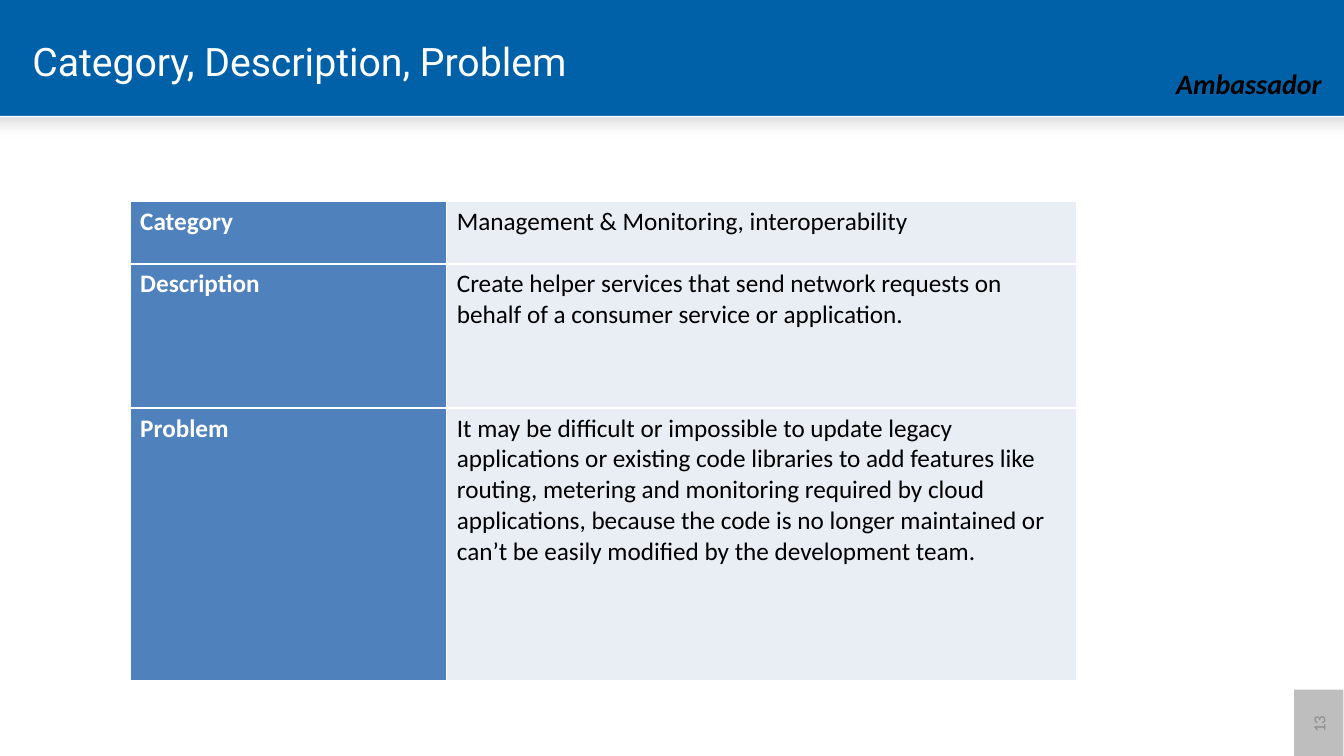
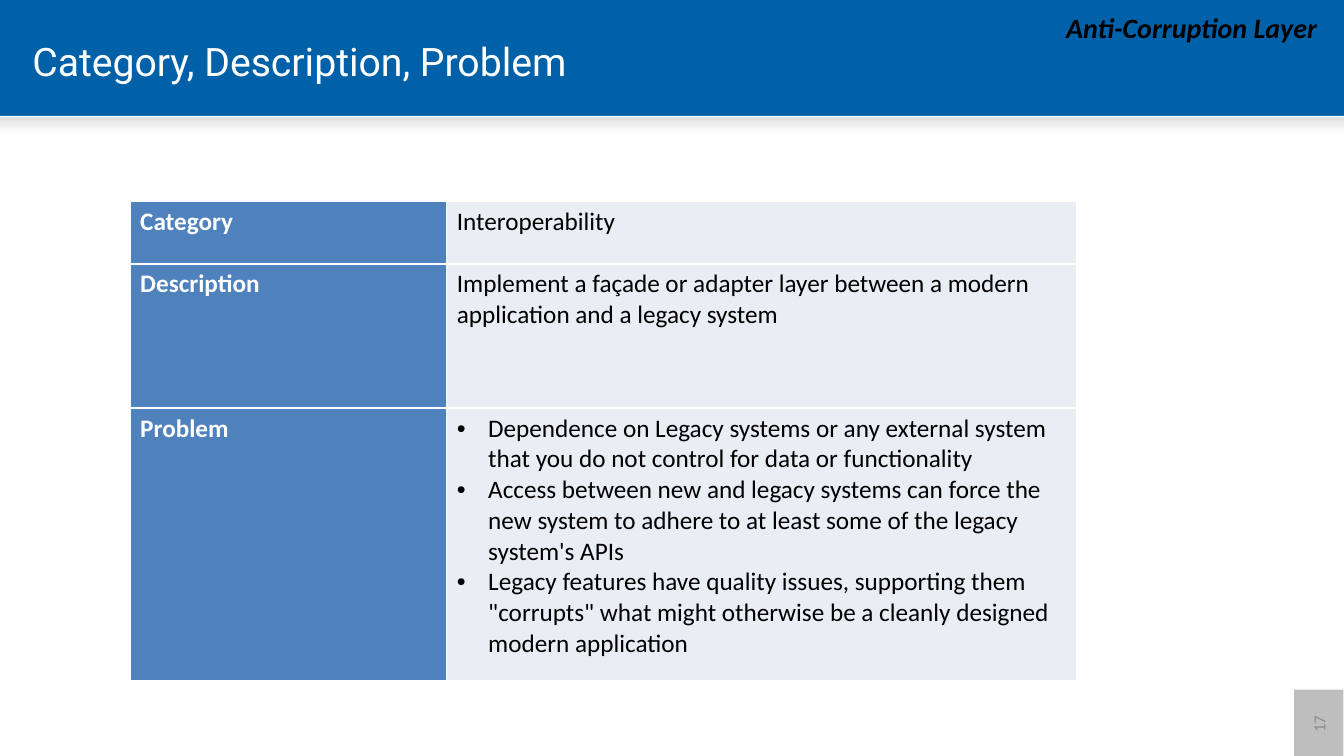
from dataclasses import dataclass

from lxml.etree import SubElement
from pptx import Presentation
from pptx.dml.color import RGBColor
from pptx.enum.shapes import MSO_SHAPE
from pptx.enum.text import MSO_ANCHOR, MSO_AUTO_SIZE, PP_ALIGN
from pptx.oxml import parse_xml
from pptx.oxml.ns import nsdecls, qn
from pptx.util import Cm, Pt

RECT = MSO_SHAPE.RECTANGLE
MIDDLE = MSO_ANCHOR.MIDDLE
GROW = MSO_AUTO_SIZE.SHAPE_TO_FIT_TEXT
LEFT, CENTER = PP_ALIGN.LEFT, PP_ALIGN.CENTER
TITLE_ONLY = 5


@dataclass(frozen=True)
class Theme:
    """Colours, fonts and type sizes of the deck."""
    band: str = "0060A8"
    paper: str = "FFFFFF"
    ink: str = "000000"
    label: str = "4F81BD"
    cell: str = "E9EDF4"
    page_fill: str = "7F7F7F"
    page_text: str = "8C8C8C"
    glow: str = "E3E3E3"
    heading: str = "Roboto"
    body: str = "Calibri"
    title_size: int = 28
    tag_size: int = 20
    text_size: int = 18
    page_size: int = 12


@dataclass(frozen=True)
class Box:
    """A rectangle in centimetres."""
    left: float
    top: float
    width: float
    height: float

    def emu(self):
        """Return the four lengths for python-pptx."""
        return Cm(self.left), Cm(self.top), Cm(self.width), Cm(self.height)


THEME = Theme()
SLIDE = Box(0, 0, 33.87, 19.05)
PAPER = Box(0, 2.92, SLIDE.width, 16.13)
TITLE = Box(0.56, 0.43, 28.83, 2.21)
TABLE = Box(3.28, 5.08, 23.86, 12.08)
PAGE = Box(32.36, 17.63, 1.75, 1.24)
LABEL_WIDTH = 7.98
ROW_HEIGHTS = (1.57, 3.63, 6.88)
LABELS = ("Category", "Description", "Problem")
SHADE_OFFSET, SHADE_HEIGHT = 0.05, 1.07
BULLET_INDENT = 0.79

SLIDES = (
    {
        "tag": "Ambassador",
        "tag_box": Box(29.39, 1.55, 4.24, 1.12),
        "page": "13",
        "rows": (
            ["Management & Monitoring, interoperability"],
            ["Create helper services that send network requests on behalf of a "
             "consumer service or application."],
            ["It may be difficult or impossible to update legacy applications or "
             "existing code libraries to add features like routing, metering and "
             "monitoring required by cloud applications, because the code is no "
             "longer maintained or can’t be easily modified by the development team."],
        ),
    },
    {
        "tag": "Anti-Corruption Layer",
        "tag_box": Box(26.62, 0.15, 7.21, 1.12),
        "page": "17",
        "rows": (
            ["Interoperability"],
            ["Implement a façade or adapter layer between a modern application and "
             "a legacy system"],
            ["Dependence on Legacy systems or any external system that you do not "
             "control for data or functionality",
             "Access between new and legacy systems can force the new system to "
             "adhere to at least some of the legacy system's APIs",
             "Legacy features have quality issues, supporting them \"corrupts\" what "
             "might otherwise be a cleanly designed modern application"],
        ),
    },
)


def rgb(value):
    """Turn a hex string into a colour."""
    return RGBColor.from_string(value)


def add_run(p, text, size, color, font=THEME.body, bold=False, italic=False):
    """Append one formatted run to a paragraph."""
    r = p.add_run()
    r.text = text
    f = r.font
    f.name, f.size, f.bold, f.italic = font, Pt(size), bold, italic
    f.color.rgb = rgb(color)


def add_rect(slide, box, color):
    """Add a plain rectangle without line or shadow."""
    sp = slide.shapes.add_shape(RECT, *box.emu())
    sp.shadow.inherit = False
    sp.line.fill.background()
    sp.fill.solid()
    sp.fill.fore_color.rgb = rgb(color)
    return sp


def fade(sp, stops):
    """Replace a solid fill by a downward gradient of (position, colour, alpha)."""
    xml = "".join(
        f'<a:gs pos="{pos * 1000}"><a:srgbClr val="{color}">'
        f'<a:alpha val="{alpha * 1000}"/></a:srgbClr></a:gs>'
        for pos, color, alpha in stops)
    grad = parse_xml(f'<a:gradFill {nsdecls("a")} rotWithShape="1"><a:gsLst>{xml}'
                     '</a:gsLst><a:lin ang="5400000" scaled="0"/></a:gradFill>')
    solid = sp.element.spPr.find(qn("a:solidFill"))
    solid.getparent().replace(solid, grad)


def dress_layout(slide, box):
    """Give the slide's layout its title place, white area and shade."""
    layout = slide.slide_layout
    title = layout.placeholders[0]
    title.left, title.top, title.width, title.height = TITLE.emu()
    paper = add_rect(slide, box, THEME.paper)
    shade_box = Box(box.left, box.top + SHADE_OFFSET, box.width, SHADE_HEIGHT)
    shade = add_rect(slide, shade_box, THEME.paper)
    fade(shade, ((0, THEME.ink, 13), (48, THEME.glow, 0), (66, THEME.paper, 0)))
    for place, sp in enumerate((paper, shade), start=2):
        layout.shapes.element.insert(place, sp.element)


def add_title(slide, text):
    """Fill the title placeholder."""
    tf = slide.shapes.title.text_frame
    tf.vertical_anchor = MIDDLE
    p = tf.paragraphs[0]
    p.alignment = LEFT
    add_run(p, text, THEME.title_size, THEME.paper, THEME.heading)


def add_page(slide, box, number):
    """Add the upright page number in its grey box."""
    sp = add_rect(slide, box, THEME.page_fill)
    sp.rotation = 270
    color = sp.element.spPr.find(qn("a:solidFill")).find(qn("a:srgbClr"))
    SubElement(color, qn("a:alpha"), val="50000")
    tf = sp.text_frame
    tf.vertical_anchor = MIDDLE
    p = tf.paragraphs[0]
    p.alignment = CENTER
    add_run(p, number, THEME.page_size, THEME.page_text)


def add_tag(slide, box, text):
    """Add the pattern name on the band."""
    tf = slide.shapes.add_textbox(*box.emu()).text_frame
    tf.word_wrap = False
    tf.auto_size = GROW
    add_run(tf.paragraphs[0], text, THEME.tag_size, THEME.ink, bold=True, italic=True)


def set_bullet(p):
    """Give a paragraph a hanging bullet."""
    props = p._p.get_or_add_pPr()
    props.set("marL", str(Cm(BULLET_INDENT)))
    props.set("indent", str(-Cm(BULLET_INDENT)))
    SubElement(props, qn("a:buFont"), typeface="Arial")
    SubElement(props, qn("a:buChar"), char="•")


def fill_cell(cell, texts, fill, color, bold=False):
    """Fill a cell with paragraphs, bulleted when there are several."""
    cell.fill.solid()
    cell.fill.fore_color.rgb = rgb(fill)
    props = cell._tc.get_or_add_tcPr()
    for place, side in enumerate("LRTB"):
        props.insert(place, parse_xml(
            f'<a:ln{side} {nsdecls("a")} w="{Pt(1)}"><a:solidFill>'
            f'<a:srgbClr val="{THEME.paper}"/></a:solidFill></a:ln{side}>'))
    tf = cell.text_frame
    for i, text in enumerate(texts):
        p = tf.add_paragraph() if i else tf.paragraphs[0]
        if len(texts) > 1:
            set_bullet(p)
        add_run(p, text, THEME.text_size, color, bold=bold)


def add_facts(slide, box, rows):
    """Add the table of labels and their texts."""
    table = slide.shapes.add_table(len(rows), 2, *box.emu()).table
    table.first_row = table.horz_banding = False
    table.columns[0].width = Cm(LABEL_WIDTH)
    table.columns[1].width = Cm(box.width - LABEL_WIDTH)
    for i, (label, texts, height) in enumerate(zip(LABELS, rows, ROW_HEIGHTS)):
        table.rows[i].height = Cm(height)
        fill_cell(table.cell(i, 0), [label], THEME.label, THEME.paper, bold=True)
        fill_cell(table.cell(i, 1), texts, THEME.cell, THEME.ink)


def add_pattern_slide(slide, content):
    """Place all parts of one pattern slide."""
    add_page(slide, PAGE, content["page"])
    add_title(slide, ", ".join(LABELS))
    add_facts(slide, TABLE, content["rows"])
    add_tag(slide, content["tag_box"], content["tag"])


def main():
    """Build and save the deck."""
    prs = Presentation()
    prs.slide_width, prs.slide_height = Cm(SLIDE.width), Cm(SLIDE.height)
    background = prs.slide_master.background.fill
    background.solid()
    background.fore_color.rgb = rgb(THEME.band)
    layout = prs.slide_layouts[TITLE_ONLY]
    slides = [prs.slides.add_slide(layout) for _ in SLIDES]
    dress_layout(slides[0], PAPER)
    for slide, content in zip(slides, SLIDES):
        add_pattern_slide(slide, content)
    prs.save("out.pptx")


if __name__ == "__main__":
    main()
